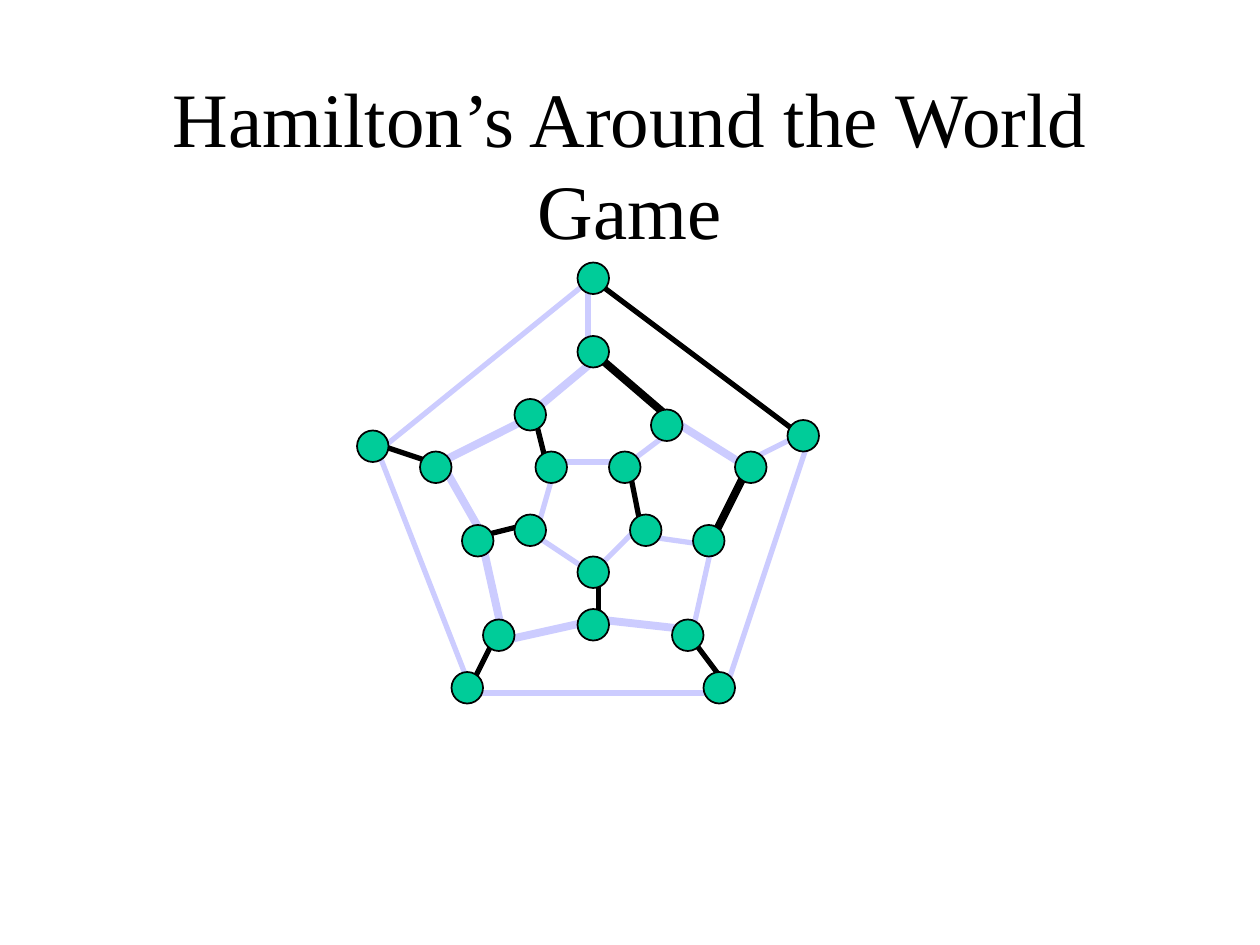
from dataclasses import dataclass

import pptx
import pptx.dml.color
import pptx.enum.shapes
import pptx.enum.text
import pptx.util
from pptx.oxml.ns import qn

EMU_PER_PX = 7620  # 120 px to the inch


@dataclass(frozen=True)
class Theme:
    font: str = "Times New Roman"
    title_size: int = 44
    ink: str = "000000"
    unused_edge: str = "CCCCFF"
    node_fill: str = "00CC99"
    thin: float = 3
    thick: float = 4.5
    outline: float = 1


@dataclass(frozen=True)
class Edge:
    x1: int
    y1: int
    x2: int
    y2: int
    width: float


@dataclass(frozen=True)
class Node:
    left: int
    top: int


THEME = Theme()
NODE_SIZE = 30

UNUSED_EDGES = [
    Edge(660, 600, 680, 510, THEME.thin),
    # Middle ring
    Edge(570, 340, 510, 390, THEME.thick),
    Edge(500, 400, 420, 440, THEME.thick),
    Edge(420, 440, 460, 510, THEME.thick),
    Edge(460, 520, 480, 610, THEME.thick),
    Edge(480, 610, 570, 590, THEME.thick),
    Edge(570, 590, 660, 600, THEME.thick),
    Edge(720, 450, 640, 400, THEME.thick),
    # Inner pentagon
    Edge(530, 440, 590, 440, THEME.thin),
    Edge(610, 500, 570, 540, THEME.thin),
    Edge(570, 550, 510, 510, THEME.thin),
    Edge(510, 510, 530, 440, THEME.thin),
    # Outer pentagon
    Edge(360, 430, 570, 260, THEME.thin),
    Edge(770, 420, 690, 660, THEME.thin),
    Edge(690, 660, 450, 660, THEME.thin),
    Edge(450, 660, 360, 430, THEME.thin),
    # Spokes between rings
    Edge(560, 260, 560, 330, THEME.thin),
    Edge(770, 410, 710, 440, THEME.thin),
    Edge(600, 440, 640, 410, THEME.thin),
    Edge(610, 510, 680, 520, THEME.thin),
]

MATCHED_EDGES = [
    Edge(680, 510, 710, 450, THEME.thick),
    Edge(640, 400, 570, 340, THEME.thick),
    Edge(600, 450, 610, 500, THEME.thin),
    Edge(570, 270, 770, 420, THEME.thin),
    Edge(350, 420, 410, 440, THEME.thin),
    Edge(450, 650, 470, 610, THEME.thin),
    Edge(690, 650, 660, 610, THEME.thin),
    Edge(460, 510, 500, 500, THEME.thin),
    Edge(510, 400, 520, 440, THEME.thin),
    Edge(570, 550, 570, 590, THEME.thin),
]

NODES = [
    Node(340, 410), Node(550, 250), Node(550, 320), Node(490, 380),
    Node(400, 430), Node(510, 430), Node(490, 490), Node(580, 430),
    Node(600, 490), Node(550, 530), Node(440, 500), Node(460, 590),
    Node(550, 580), Node(640, 590), Node(660, 500), Node(700, 430),
    Node(750, 400), Node(670, 640), Node(430, 640), Node(620, 390),
]


def px(value: int) -> pptx.util.Emu:
    return pptx.util.Emu(value * EMU_PER_PX)


def rgb(value: str) -> pptx.dml.color.RGBColor:
    return pptx.dml.color.RGBColor.from_string(value)


def apply(target, values: dict) -> None:
    for name, value in values.items():
        setattr(target, name, value)


def draw_edge(shapes, edge: Edge, color: str) -> None:
    connector = shapes.add_connector(
        pptx.enum.shapes.MSO_CONNECTOR.STRAIGHT,
        px(edge.x1), px(edge.y1), px(edge.x2), px(edge.y2))
    connector.line.color.rgb = rgb(color)
    connector.line.width = pptx.util.Pt(edge.width)
    properties = connector._element.spPr
    properties.append(properties.makeelement(qn("a:effectLst"), {}))


def draw_node(shapes, node: Node) -> None:
    shape = shapes.add_shape(
        pptx.enum.shapes.MSO_SHAPE.OVAL,
        px(node.left), px(node.top), px(NODE_SIZE), px(NODE_SIZE))
    shape.shadow.inherit = False
    shape.fill.solid()
    shape.fill.fore_color.rgb = rgb(THEME.node_fill)
    shape.line.color.rgb = rgb(THEME.ink)
    shape.line.width = pptx.util.Pt(THEME.outline)


def write_title(title, text: str) -> None:
    apply(title, {"left": px(90), "top": px(80),
                  "width": px(1020), "height": px(150)})
    apply(title.text_frame, {
        "text": text,
        "word_wrap": True,
        "auto_size": pptx.enum.text.MSO_AUTO_SIZE.NONE,
        "vertical_anchor": pptx.enum.text.MSO_ANCHOR.MIDDLE,
    })
    paragraph = title.text_frame.paragraphs[0]
    paragraph.alignment = pptx.enum.text.PP_ALIGN.CENTER
    font = paragraph.runs[0].font
    apply(font, {"name": THEME.font, "size": pptx.util.Pt(THEME.title_size)})
    font.color.rgb = rgb(THEME.ink)


def main() -> None:
    presentation = pptx.Presentation()
    apply(presentation, {"slide_width": px(1200), "slide_height": px(900)})
    slide = presentation.slides.add_slide(presentation.slide_layouts[5])

    # Edges lie beneath the nodes, with the matched ones grouped
    for edge in UNUSED_EDGES:
        draw_edge(slide.shapes, edge, THEME.unused_edge)
    matching = slide.shapes.add_group_shape()
    for edge in MATCHED_EDGES:
        draw_edge(matching.shapes, edge, THEME.ink)

    write_title(slide.shapes.title, "Hamilton’s Around the World Game")

    # Nodes of the graph
    for node in NODES:
        draw_node(slide.shapes, node)

    presentation.save("out.pptx")


if __name__ == "__main__":
    main()
